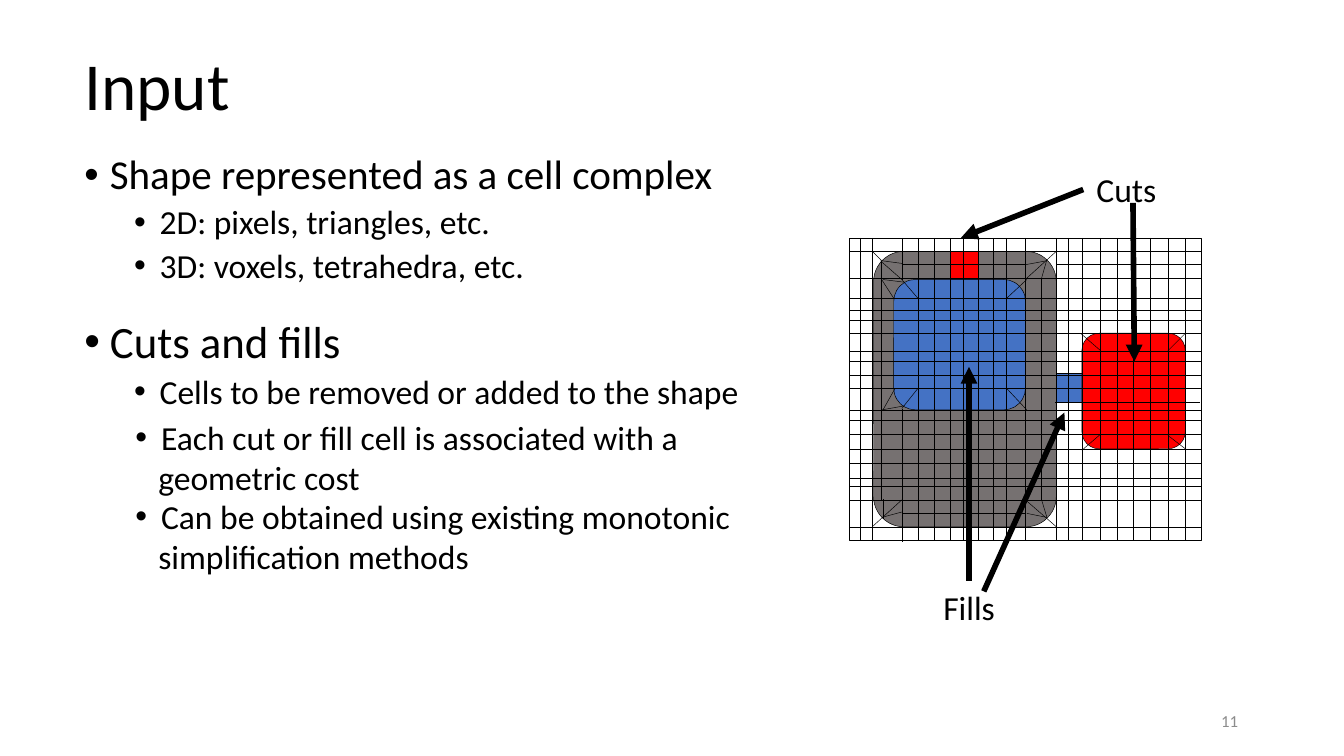
from lxml.etree import SubElement
from pptx import Presentation
from pptx.dml.color import RGBColor
from pptx.enum.shapes import MSO_CONNECTOR, MSO_SHAPE
from pptx.enum.text import MSO_ANCHOR, PP_ALIGN
from pptx.oxml.ns import qn
from pptx.util import Inches, Pt

SLIDE_WIDTH = 10
SLIDE_HEIGHT = SLIDE_WIDTH * 9 / 16
BLACK, GRAY, BLUE, RED = "000000", "767171", "4472C4", "FF0000"
HAIR, THICK = 0.25, 3

# Paragraph styles: size, line spacing, space before, left margin, bullet
HEAD = dict(spacing=0.9, before=7.5, margin=0.19, bullet=True)
SUB = dict(size=18, spacing=0.9, before=3.8, margin=0.56, bullet=True)
POINT = dict(size=18, margin=0.19, bullet=True)
MORE = dict(size=18, margin=0.17)
LABEL = dict(size=18)

# Box (left, top, width, height), box options, paragraphs (text, style)
TEXTS = [
    ((0.53, 0.3, 7.12, 0.72), dict(vertical_anchor=MSO_ANCHOR.MIDDLE),
     [("Input", dict(size=36, spacing=0.9))]),
    ((0.53, 1.1, 5.36, 4.14), {},
     [("Shape represented as a cell complex", dict(HEAD, size=22)),
      ("2D: pixels, triangles, etc.", SUB),
      ("3D: voxels, tetrahedra, etc.", SUB)]),
    ((0.53, 2.33, 5.36, 1.01), {},
     [("Cuts and fills", dict(HEAD, size=24)),
      ("Cells to be removed or added to the shape", SUB)]),
    ((0.91, 3.05, 4.34, 1.01), dict(word_wrap=False),
     [("Each cut or fill cell is associated with a", POINT),
      ("geometric cost", MORE)]),
    ((0.91, 3.64, 4.74, 1.01), dict(word_wrap=False),
     [("Can be obtained using existing monotonic", POINT),
      ("simplification methods", MORE)]),
    ((6.92, 4.32, 0.59, 0.4), dict(word_wrap=False), [("Fills", LABEL)]),
    ((8.06, 1.21, 0.92, 0.4), {}, [("Cuts", LABEL)]),
    ((7.06, 5.21, 2.25, 0.3), dict(vertical_anchor=MSO_ANCHOR.MIDDLE),
     [("11", dict(size=9, color="8C8C8C", align=PP_ALIGN.RIGHT))]),
]

REGIONS = [
    (MSO_SHAPE.ROUNDED_RECTANGLE, (6.5, 1.87, 1.36, 2.05), GRAY),
    (MSO_SHAPE.RECTANGLE, (7.86, 2.78, 0.19, 0.21), BLUE),
    (MSO_SHAPE.RECTANGLE, (7.07, 1.87, 0.21, 0.21), RED),
    (MSO_SHAPE.ROUNDED_RECTANGLE, (6.65, 2.08, 0.98, 0.97), BLUE),
    (MSO_SHAPE.ROUNDED_RECTANGLE, (8.05, 2.48, 0.77, 0.86), RED),
]

ARROWS = [
    (7.21, 4.32, 7.21, 2.73), (7.32, 4.4, 7.92, 3.07),
    (8.43, 1.51, 8.44, 2.69), (8.06, 1.41, 7.15, 1.77),
]

GRID = (6.32, 1.77, 2.62, 2.25)
ROWS = [1.87, 2.07, 2.22, 2.31, 2.38, 2.48, 2.61, 2.69, 2.79, 2.89, 3.05,
        3.13, 3.23, 3.34, 3.45, 3.56, 3.62, 3.72, 3.92]
COLUMNS = [6.4, 6.49, 6.83, 6.95, 7.07, 7.17, 7.28, 7.39, 7.49, 7.63, 7.86,
           7.95, 8.05, 8.19, 8.31, 8.43, 8.56, 8.69, 8.82]
PARTIAL_LINES = [
    (7.85, 2.99, 8.93, 2.99), (6.71, 1.97, 7.63, 1.97),
    (7.86, 1.97, 8.94, 1.97), (6.71, 3.82, 7.63, 3.82),
    (6.71, 1.77, 6.71, 2.08), (6.71, 3.04, 6.71, 4.03),
    (6.56, 2.08, 6.56, 3.72), (7.75, 2.07, 7.75, 3.72),
]
CORNER_LINES = [
    # gray region, right then left
    (7.86, 1.87, 7.64, 2.07), (7.79, 1.93, 7.75, 2.07),
    (7.79, 1.94, 7.63, 1.97), (7.86, 3.92, 7.63, 3.72),
    (7.75, 3.72, 7.79, 3.85), (7.64, 3.82, 7.79, 3.85),
    (6.49, 1.87, 6.56, 1.94), (6.56, 1.94, 6.71, 1.96),
    (6.55, 1.94, 6.71, 2.08), (6.56, 1.94, 6.56, 2.08),
    (6.56, 3.85, 6.71, 3.81), (6.49, 3.92, 6.71, 3.72),
    (6.57, 3.86, 6.57, 3.71),
    # blue region
    (6.71, 2.08, 6.83, 2.22), (6.71, 3.04, 6.83, 2.89),
    (7.49, 2.89, 7.64, 3.05), (7.64, 2.08, 7.49, 2.22),
    (6.56, 2.08, 6.65, 2.22), (6.57, 2.08, 6.73, 2.1),
    (6.57, 3.05, 6.66, 2.89), (6.56, 3.05, 6.73, 3.02),
    # red region
    (8.82, 2.48, 8.69, 2.61), (8.19, 2.61, 8.04, 2.48),
    (8.19, 3.23, 8.05, 3.35), (8.82, 3.34, 8.69, 3.24),
]


def rgb(color):
    return RGBColor.from_string(color)


def inches(values):
    return [Inches(v) for v in values]


def add_paragraph(p, text, size, color=BLACK, spacing=1.0, before=0,
                  margin=0, bullet=False, align=PP_ALIGN.LEFT):
    pPr = p._p.get_or_add_pPr()
    if margin:
        pPr.set("marL", str(Inches(margin)))
        pPr.set("indent", str(Inches(-0.19 if bullet else 0)))
    if bullet:
        SubElement(pPr, qn("a:buFont"), typeface="Arial")
        SubElement(pPr, qn("a:buChar"), char="•")
    layout = dict(alignment=align, line_spacing=spacing, space_before=Pt(before))
    for name, value in layout.items():
        setattr(p, name, value)
    r = p.add_run()
    r.text = text
    r.font.name, r.font.size = "Calibri", Pt(size)
    r.font.color.rgb = rgb(color)


def add_text(shapes, box, options, paragraphs):
    tf = shapes.add_textbox(*inches(box)).text_frame
    for name, value in {"word_wrap": True, **options}.items():
        setattr(tf, name, value)
    for i, (text, style) in enumerate(paragraphs):
        p = tf.add_paragraph() if i else tf.paragraphs[0]
        add_paragraph(p, text, **(style if i else {**style, "before": 0}))


def add_region(shapes, kind, box, fill=None):
    sp = shapes.add_shape(kind, *inches(box))
    sp.shadow.inherit = False
    if fill:
        sp.fill.solid()
        sp.fill.fore_color.rgb = rgb(fill)
    else:
        sp.fill.background()
    sp.line.color.rgb = rgb(BLACK)
    sp.line.width = Pt(HAIR)


def add_line(shapes, ends, width=HAIR, arrow=False):
    line = shapes.add_connector(MSO_CONNECTOR.STRAIGHT, *inches(ends))
    line.line.color.rgb = rgb(BLACK)
    line.line.width = Pt(width)
    if arrow:
        SubElement(line.line._get_or_add_ln(), qn("a:tailEnd"), type="triangle")
    SubElement(line._element.spPr, qn("a:effectLst"))


def main():
    prs = Presentation()
    prs.slide_width, prs.slide_height = inches((SLIDE_WIDTH, SLIDE_HEIGHT))
    shapes = prs.slides.add_slide(prs.slide_layouts[6]).shapes

    for region in REGIONS:
        add_region(shapes, *region)
    for text in TEXTS:
        add_text(shapes, *text)
    for ends in ARROWS:
        add_line(shapes, ends, THICK, arrow=True)

    left, top, width, height = GRID
    right, bottom = left + width, top + height
    add_region(shapes, MSO_SHAPE.RECTANGLE, GRID)
    rows = [(left, y, right, y) for y in ROWS]
    columns = [(x, top, x, bottom) for x in COLUMNS]
    for ends in rows + columns + PARTIAL_LINES + CORNER_LINES:
        add_line(shapes, ends)

    prs.save("out.pptx")


if __name__ == "__main__":
    main()
